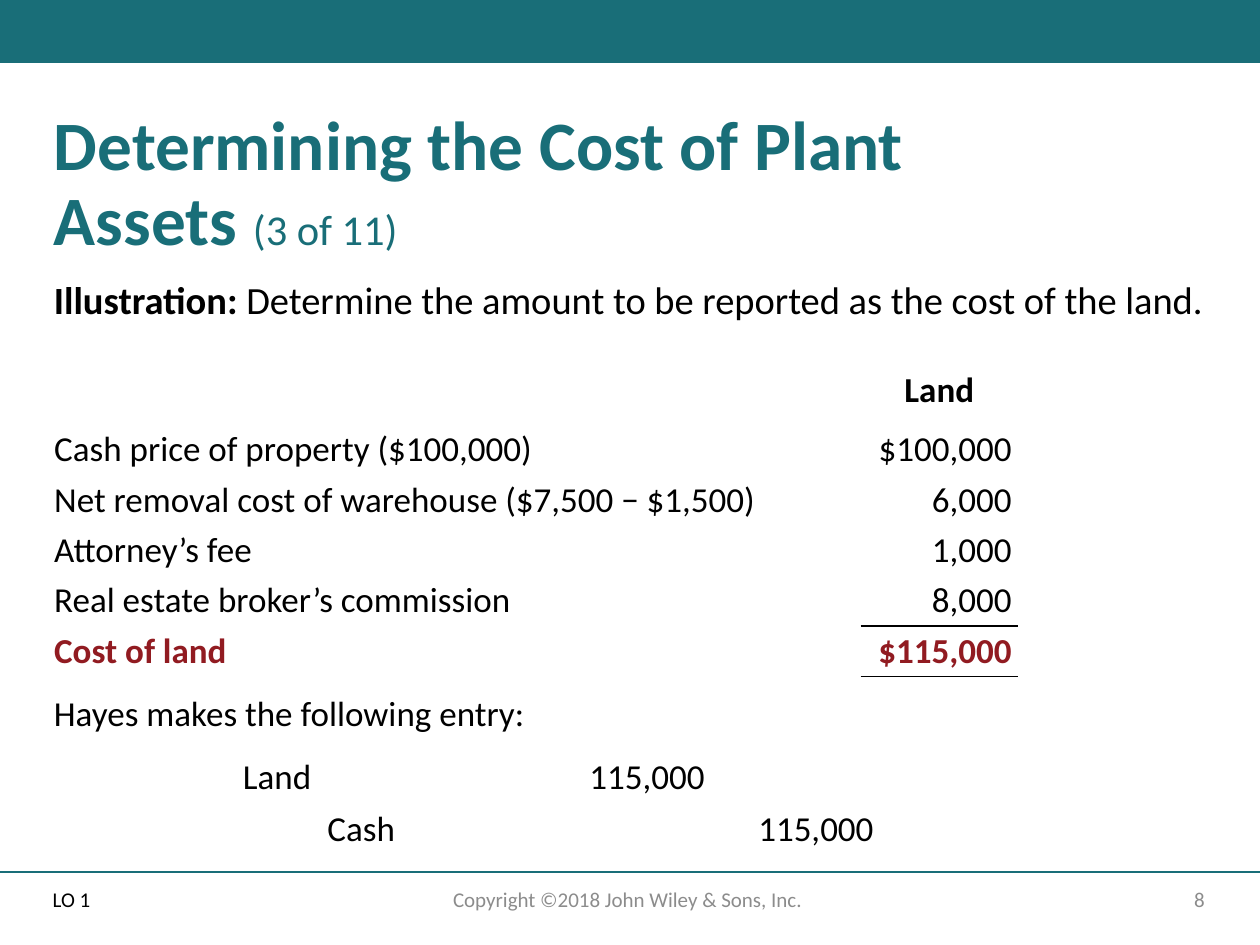
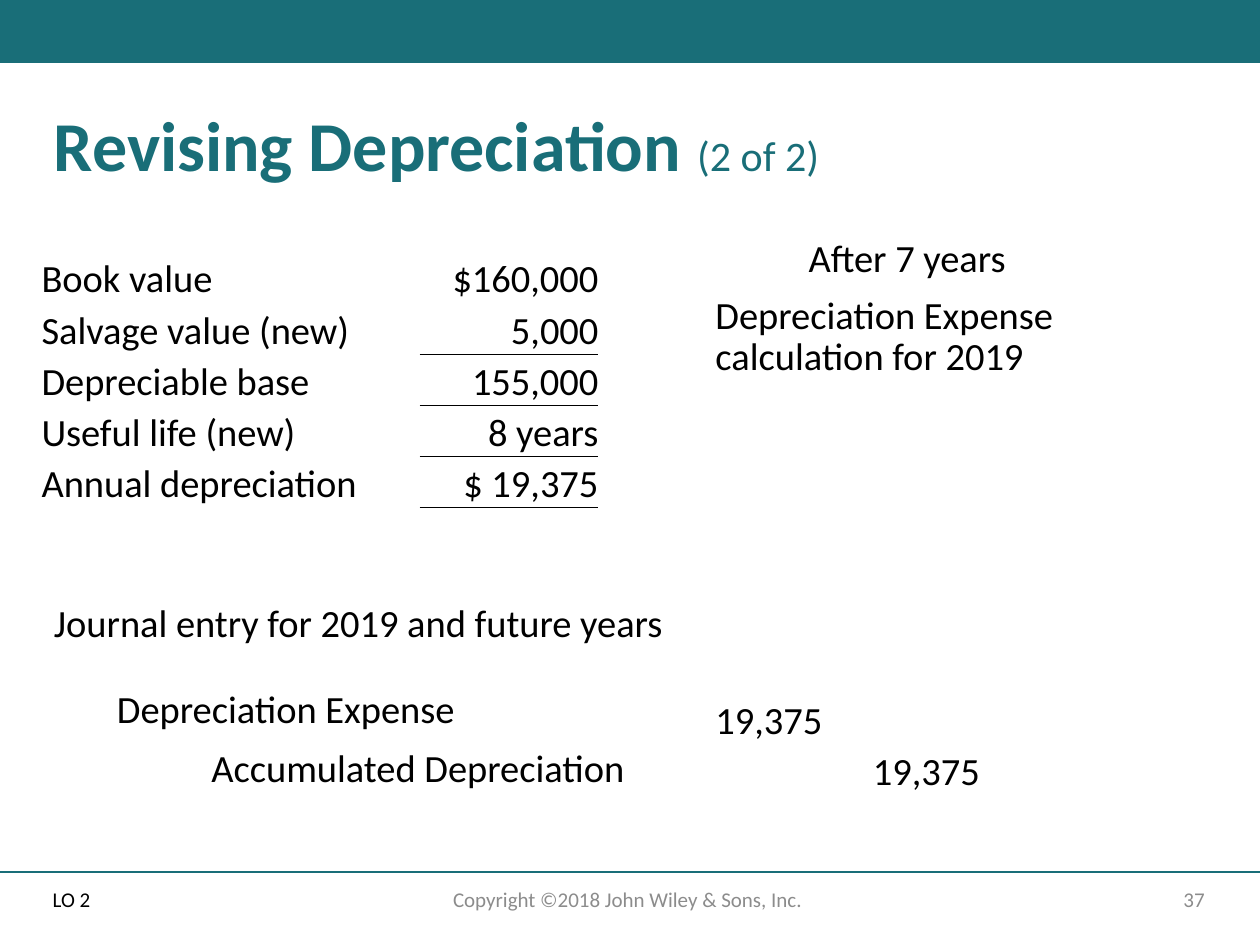
from lxml import etree
from pptx import Presentation
from pptx.dml.color import RGBColor
from pptx.enum import shapes, text
from pptx.oxml import ns
from pptx.util import Pt

PX = 9144
WIDTH, HEIGHT = 1000, 750
TEAL = RGBColor(0x19, 0x6E, 0x78)
RED = RGBColor(0x91, 0x1B, 0x21)
GRAY = RGBColor(0x8C, 0x8C, 0x8C)
BLACK = RGBColor(0, 0, 0)
WHITE = RGBColor(255, 255, 255)
FONT = "Calibri"
NO_STYLE = "{2D5ABB26-0587-4C30-8999-92F81FD0307C}"
LEFT, CENTER, RIGHT = text.PP_ALIGN.LEFT, text.PP_ALIGN.CENTER, text.PP_ALIGN.RIGHT
COPYRIGHT = "Copyright ©2018 John Wiley & Sons, Inc. "


def emu(*lengths):
    return [round(n * PX) for n in lengths]


def write(tf, words, size=22, bold=False, color=BLACK, align=LEFT, spacing=None):
    p = tf.paragraphs[0]
    p.alignment = align
    p.line_spacing = spacing
    r = p.add_run()
    r.text = words
    r.font.name = FONT
    r.font.size = Pt(size)
    r.font.bold = bold
    r.font.color.rgb = color


def text_box(s, box, words, anchor=text.MSO_ANCHOR.TOP, spacing=0.9, **fmt):
    tf = s.shapes.add_textbox(*emu(*box)).text_frame
    tf.word_wrap = True
    tf.vertical_anchor = anchor
    write(tf, words, spacing=spacing, **fmt)
    return tf


def title(s, box, words, part, size=40, part_size=24):
    tf = text_box(s, box, words + " ", size=size, bold=True, color=TEAL)
    write(tf, part, size=part_size, color=TEAL, spacing=0.9)


def band(s, box):
    sp = s.shapes.add_shape(shapes.MSO_SHAPE.RECTANGLE, *emu(*box))
    sp.shadow.inherit = False
    sp.fill.solid()
    sp.fill.fore_color.rgb = TEAL
    sp.line.fill.background()


def footer(s, box, objective, number):
    x, y, w, h = box
    rule = s.shapes.add_connector(shapes.MSO_CONNECTOR.STRAIGHT, *emu(x, y, x + w, y))
    rule.line.color.rgb = TEAL
    rule.line.width = Pt(1)
    etree.SubElement(rule._element.spPr, ns.qn("a:effectLst"))
    parts = [
        (32, 62, objective, BLACK, LEFT),
        (706, 260, number, GRAY, RIGHT),
        (331, 338, COPYRIGHT, GRAY, CENTER),
    ]
    for dx, width, words, color, align in parts:
        text_box(s, (x + dx, y + 3, width, h), words, text.MSO_ANCHOR.MIDDLE,
                 size=12, color=color, align=align)


def border(cell, side):
    ln = etree.SubElement(cell._tc.get_or_add_tcPr(), ns.qn(f"a:ln{side}"), w="12700")
    fill = etree.SubElement(ln, ns.qn("a:solidFill"))
    etree.SubElement(fill, ns.qn("a:srgbClr"), val=str(BLACK))


def plain_table(s, box, col_widths, row_heights):
    frame = s.shapes.add_table(len(row_heights), len(col_widths), *emu(*box))
    table = frame.table
    table.first_row = table.horz_banding = False
    table._tbl.tblPr.find(ns.qn("a:tableStyleId")).text = NO_STYLE
    for col, width in zip(table.columns, emu(*col_widths)):
        col.width = width
    for row, height in zip(table.rows, emu(*row_heights)):
        row.height = height
    return table


def fill_cell(cell, words, insets, ruled="", fill=None, **fmt):
    (cell.margin_left, cell.margin_top,
     cell.margin_right, cell.margin_bottom) = emu(*insets)
    cell.vertical_anchor = text.MSO_ANCHOR.BOTTOM
    for side in ruled:
        border(cell, side)
    if fill is None:
        cell.fill.background()
    else:
        cell.fill.solid()
        cell.fill.fore_color.rgb = fill
    if words:
        write(cell.text_frame, words, **fmt)


def land_table(s, box):
    rows = [
        ("Cash price of property ($100,000)", "$100,000", ""),
        ("Net removal cost of warehouse ($7,500 − $1,500)", "6,000", ""),
        ("Attorney’s fee", "1,000", ""),
        ("Real estate broker’s commission", "8,000", "B"),
        ("Cost of land", "$115,000", "TB"),
    ]
    table = plain_table(s, box, (650, 125), [54] + [40] * len(rows))
    fill_cell(table.cell(0, 0), "", (10, 5, 10, 5), fill=WHITE)
    fill_cell(table.cell(0, 1), "Land", (0, 10, 0, 10), fill=WHITE,
              size=20, bold=True, align=CENTER)
    for i, (item, amount, ruled) in enumerate(rows, 1):
        total = i == len(rows)
        fmt = dict(fill=WHITE, size=20, bold=total, color=RED if total else BLACK)
        fill_cell(table.cell(i, 0), item, (10, 3, 10, 3), **fmt)
        fill_cell(table.cell(i, 1), amount, (0, 3, 5, 3), ruled, align=RIGHT, **fmt)


def depreciation_table(s, box):
    rows = [
        ("Book value", "$160,000", ""),
        ("Salvage value (new)", "5,000", "B"),
        ("Depreciable base", "155,000", "TB"),
        ("Useful life (new)", "8 years", "TB"),
        ("Annual depreciation", "$ 19,375", "TB"),
    ]
    table = plain_table(s, box, (300, 142), [box[3] / len(rows)] * len(rows))
    for i, (item, amount, ruled) in enumerate(rows):
        fill_cell(table.cell(i, 0), item, (0, 0, 0, 0))
        fill_cell(table.cell(i, 1), amount, (0, 0, 0, 0), ruled, align=RIGHT)


def journal_entry(s, box, lines, size):
    x, y = box[:2]
    for dx, dy, width, words in lines:
        text_box(s, (x + dx, y + dy, width, 40), words, size=size)


def new_slide(prs, objective, number):
    s = prs.slides.add_slide(prs.slide_layouts[6])
    band(s, (0, 0, WIDTH, 50))
    footer(s, (0, 692, WIDTH, 40), objective, number)
    return s


def land_slide(prs):
    s = new_slide(prs, "LO 1", "8")
    title(s, (33, 83, 833, 117), "Determining the Cost of Plant Assets", "(3 of 11)",
          39.6, 24.3)
    tf = text_box(s, (33, 218, 950, 40), "Illustration: ", bold=True)
    write(tf, "Determine the amount to be reported as the cost of the land.", spacing=0.9)
    land_table(s, (33, 283, 775, 254))
    text_box(s, (33, 548, 400, 40), "Hayes makes the following entry:", size=20)
    journal_entry(s, (183, 598, 524, 81), [
        (0, 0, 75, "Land"),
        (275, 0, 117, "115,000"),
        (67, 41, 81, "Cash"),
        (409, 41, 115, "115,000"),
    ], 20)


def depreciation_slide(prs):
    s = new_slide(prs, "LO 2", "37")
    title(s, (33, 83, 933, 77), "Revising Depreciation", "(2 of 2)")
    depreciation_table(s, (33, 200, 442, 203))
    text_box(s, (632, 185, 186, 40), "After 7 years")
    text_box(s, (558, 230, 292, 79), "Depreciation Expense calculation for 2019")
    text_box(s, (33, 475, 508, 40), "Journal entry for 2019 and future years")
    journal_entry(s, (83, 543, 708, 89), [
        (0, 0, 292, "Depreciation Expense"),
        (475, 9, 108, "19,375"),
        (75, 47, 367, "Accumulated Depreciation"),
        (600, 49, 108, "19,375"),
    ], 22)


def main():
    prs = Presentation()
    prs.slide_width, prs.slide_height = emu(WIDTH, HEIGHT)
    land_slide(prs)
    depreciation_slide(prs)
    prs.save("out.pptx")


if __name__ == "__main__":
    main()
